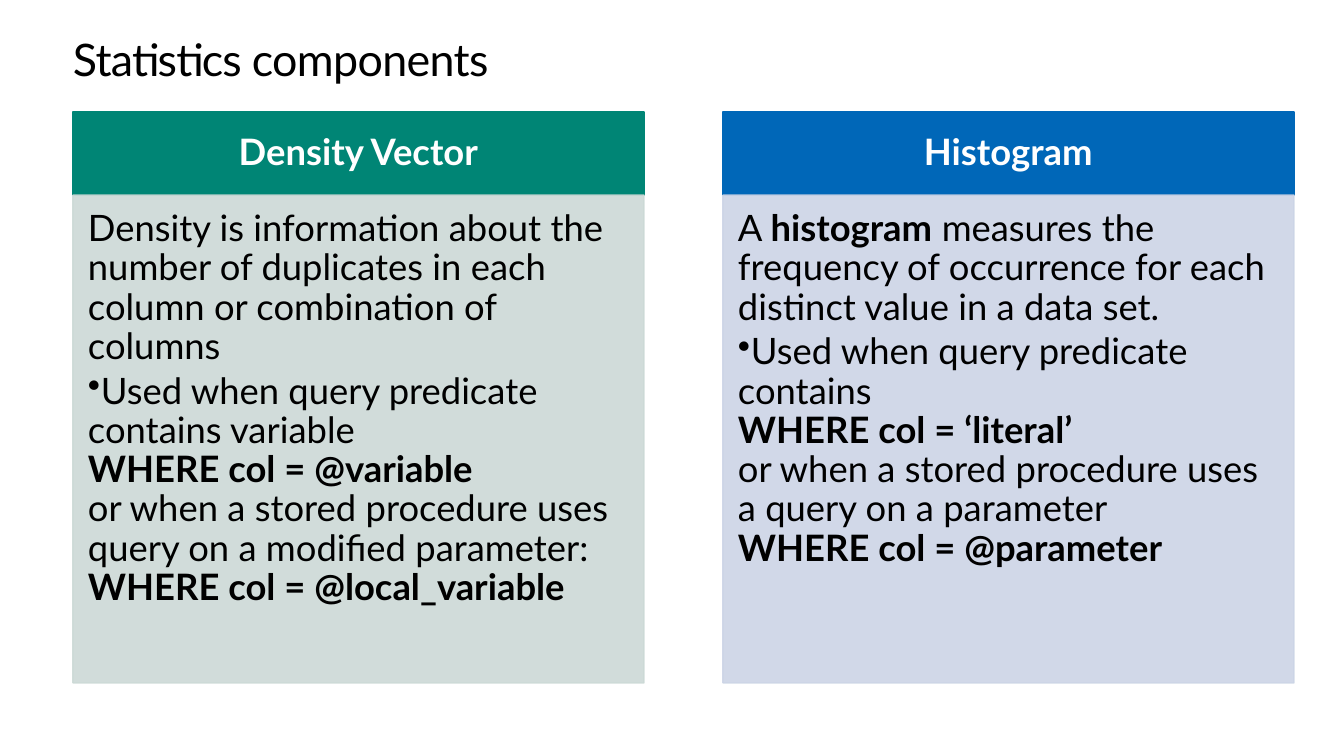
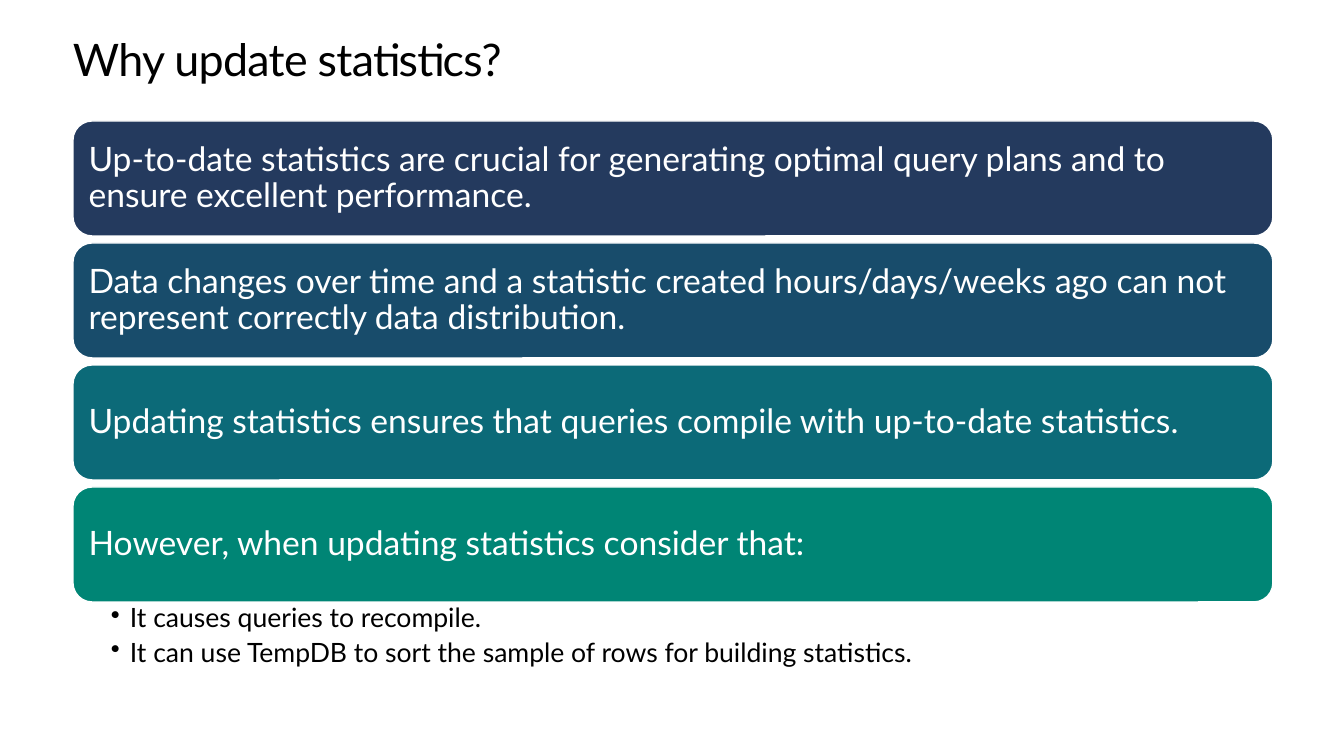
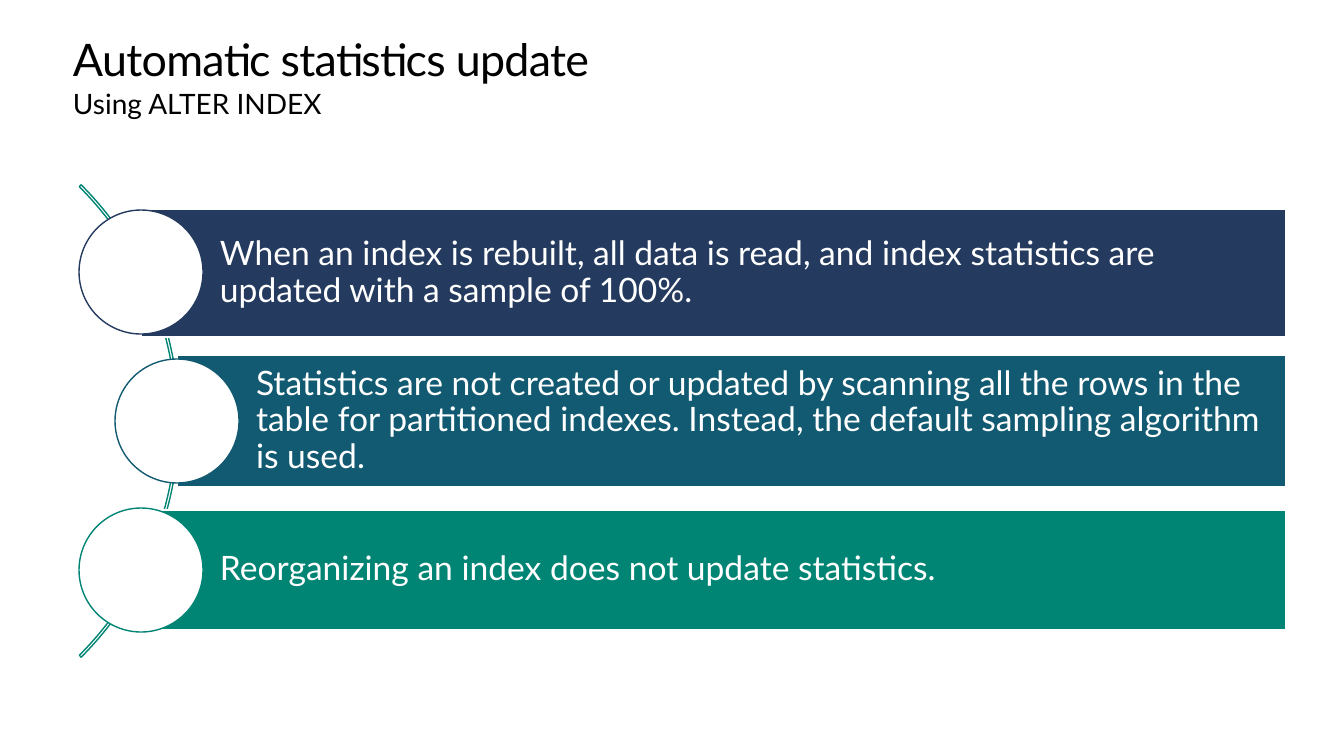
"""Build three slides about database statistics."""
from lxml import etree
from pptx import Presentation
from pptx import util as u
from pptx.dml.color import RGBColor
from pptx.enum import shapes, text
from pptx.oxml.ns import qn

SCALE = 914400 / 100.8
FONT = "Lato"
LEFT, WIDTH = 73, 1200
KIND = shapes.MSO_SHAPE
TOP, MID = text.MSO_ANCHOR.TOP, text.MSO_ANCHOR.MIDDLE
COLORS = {
    "black": "000000", "white": "FFFFFF",
    "green": "008575", "blue": "0067B8",
    "sage": "CCD9D6", "mist": "CCD4E6",
    "navy": "243A5E", "steel": "184C6B",
    "teal": "0C6A78", "sea": "125A71",
}

DENSITY = [
    "Density is information about the number of duplicates in each column "
    "or combination of columns",
    "Used when query predicate contains variable\n"
    "**WHERE col = @variable**\n"
    "or when a stored procedure uses query on a modified parameter:\n"
    "**WHERE col = @local_variable**",
]
HISTOGRAM = [
    "A\u00a0**histogram**\u00a0measures the frequency of occurrence for each "
    "distinct value in a data set. ",
    "Used when query predicate contains \n"
    "**WHERE col = \u2018literal\u2019**\n"
    "or when a stored procedure uses a query on a parameter\n"
    "**WHERE col = @parameter**",
]
PANELS = [
    ("Density Vector", "green", "sage", DENSITY),
    ("Histogram", "blue", "mist", HISTOGRAM),
]
REASONS = [
    ("navy", "Up-to-date statistics are crucial for generating optimal query "
             "plans and to ensure excellent performance."),
    ("steel", "Data changes over time and a statistic created hours/days/weeks "
              "ago can not represent correctly data distribution."),
    ("teal", "Updating statistics ensures that queries compile with up-to-date "
             "statistics. "),
    ("green", "However, when updating statistics consider that:"),
]
COSTS = [
    "It causes queries to recompile. ",
    "It can use TempDB to sort the sample of rows for building statistics.",
]
RULES = [
    (141, 209, 128, "navy",
     "When an index is rebuilt, all data is read, and index statistics are "
     "updated with a sample of 100%."),
    (177, 355, 132, "sea",
     "Statistics are not created or updated by scanning all the rows in the "
     "table for partitioned indexes. Instead, the default sampling algorithm "
     "is used."),
    (141, 510, 120, "green",
     "Reorganizing an index does not update statistics."),
]


def px(*nums):
    """Turn pixels into EMU lengths."""
    return [u.Emu(round(n * SCALE)) for n in nums]


def rgb(name):
    """Look up a named colour."""
    return RGBColor.from_string(COLORS[name])


def block(slide, kind, box, fill, line, alpha=None):
    """Add a preset shape with a thin outline."""
    shape = slide.shapes.add_shape(kind, *px(*box))
    shape.shadow.inherit = False
    if fill:
        shape.fill.solid()
        shape.fill.fore_color.rgb = rgb(fill)
    else:
        shape.fill.background()
    shape.line.color.rgb = rgb(line)
    shape.line.width = u.Pt(1)
    if alpha:
        for node in shape._element.spPr.iter(qn("a:srgbClr")):
            etree.SubElement(node, qn("a:alpha"), val=str(alpha * 1000))
    return shape


def bullet(para, hang=0):
    """Give a paragraph a dot and a hanging indent."""
    props = para._p.get_or_add_pPr()
    size = px(hang)[0]
    props.set("marL", str(size))
    props.set("indent", str(-size))
    dot = etree.Element(qn("a:buChar"), char="\u2022")
    rest = props.find(qn("a:defRPr"))
    rest.addprevious(dot)


def fill_in(para, words):
    """Add text with line breaks, bold between double stars."""
    for row, line in enumerate(words.split("\n")):
        if row:
            para.add_line_break()
        for num, part in enumerate(line.split("**")):
            if part:
                run = para.add_run()
                run.text = part
                if num % 2:
                    run.font.bold = True


def write(shape, paras, size, color, pads=(0, 0, 0, 0), anchor=TOP,
          align=text.PP_ALIGN.LEFT, space=0.9, after=0):
    """Put styled paragraphs into a shape and return them."""
    frame = shape.text_frame
    frame.word_wrap = True
    frame.vertical_anchor = anchor
    (frame.margin_left, frame.margin_top,
     frame.margin_right, frame.margin_bottom) = px(*pads)
    made = []
    for num, words in enumerate(paras):
        para = frame.add_paragraph() if num else frame.paragraphs[0]
        para.alignment = align
        para.line_spacing = space
        para.space_after = u.Pt(after)
        font = para.font
        font.name, font.size = FONT, u.Pt(size)
        font.color.rgb = rgb(color)
        fill_in(para, words)
        made.append(para)
    return made


def label(slide, box, paras, size, **style):
    """Add a black text box and return its paragraphs."""
    shape = slide.shapes.add_textbox(*px(*box))
    return write(shape, paras, size, "black", **style)


def page(deck, title):
    """Add a blank slide with the shared title."""
    slide = deck.slides.add_slide(deck.slide_layouts[6])
    para, = label(slide, (LEFT, 35, WIDTH, 50), [title], 32,
                  space=u.Pt(36.2))
    para.runs[0]._r.get_or_add_rPr().set("spc", "-50")
    return slide


def panel(slide, left, head, dark, pale, paras):
    """Add a headed column of text."""
    top = block(slide, KIND.RECTANGLE, (left, 112, 571, 83), dark, dark)
    write(top, [f"**{head}**"], 26, "white", (20, 12, 20, 12), MID,
          text.PP_ALIGN.CENTER)
    body = block(slide, KIND.RECTANGLE, (left, 195, 571, 488), pale, pale, 90)
    made = write(body, paras, 26, "black", (15, 15, 20, 23), after=3.9)
    bullet(made[-1])


def parts(deck):
    """Build the slide on statistics components."""
    slide = page(deck, "Statistics components")
    for num, item in enumerate(PANELS):
        panel(slide, LEFT + 650 * num, *item)


def reasons(deck):
    """Build the slide on why to update."""
    slide = page(deck, "Why update statistics?")
    for num, (color, words) in enumerate(REASONS):
        bar = block(slide, KIND.ROUNDED_RECTANGLE,
                    (LEFT, 121 + 122 * num, WIDTH, 115), color, "white")
        write(bar, [words], 24, "white", (10, 10, 10, 10), MID)
    for para in label(slide, (LEFT, 602, WIDTH, 78), COSTS, 19,
                      pads=(38, 3, 19, 3), after=3.8):
        bullet(para, 19)


def updates(deck):
    """Build the slide on automatic updates."""
    slide = page(deck, "Automatic statistics update")
    label(slide, (LEFT, 87, WIDTH, 50), ["Using ALTER INDEX"], 20, space=1.0)
    arc = block(slide, KIND.BLOCK_ARC, (-489, 87, 668, 668), None, "green")
    for num, value in enumerate((189, 27, 0.004)):
        arc.adjustments[num] = value
    for num, (left, top, high, color, words) in enumerate(RULES):
        bar = block(slide, KIND.RECTANGLE, (left, top, 1286 - left, high),
                    color, "white")
        write(bar, [words], 24, "white", (79, 7, 7, 7), MID)
        block(slide, KIND.OVAL, (left - 62, 210 + 149 * num, 124, 124),
              "white", color)


def main():
    """Build and save the deck."""
    deck = Presentation()
    deck.slide_width, deck.slide_height = px(1344, 756)
    parts(deck)
    reasons(deck)
    updates(deck)
    deck.save("out.pptx")


main()
